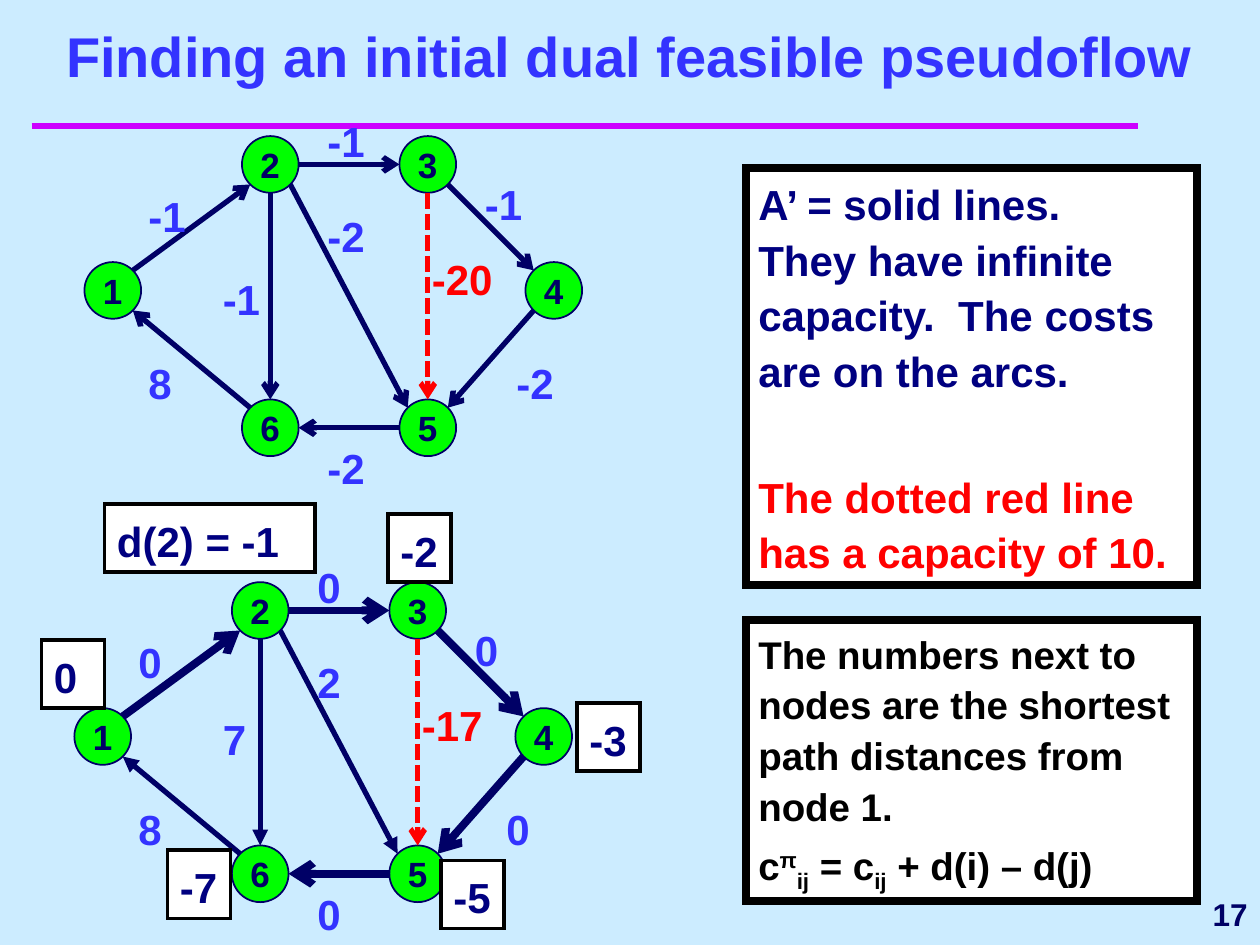
"""Build the slide on finding an initial dual feasible pseudoflow."""
import math
from typing import NamedTuple

import pptx
import pptx.dml.color
import pptx.enum.dml
import pptx.enum.shapes
import pptx.enum.text
import pptx.oxml.ns
import pptx.util
from lxml import etree

Inches = pptx.util.Inches
Pt = pptx.util.Pt
RGBColor = pptx.dml.color.RGBColor
Align = pptx.enum.text.PP_ALIGN
Anchor = pptx.enum.text.MSO_ANCHOR
Preset = pptx.enum.shapes.MSO_SHAPE

SKY = RGBColor(0xCC, 0xEC, 0xFF)
BLUE = RGBColor(0x33, 0x33, 0xFF)
INK = RGBColor(0x00, 0x00, 0x66)
NAVY = RGBColor(0x00, 0x00, 0x80)
RED = RGBColor(0xFF, 0x00, 0x00)
GREEN = RGBColor(0x00, 0xFF, 0x00)
MAGENTA = RGBColor(0xCC, 0x00, 0xFF)
BLACK = RGBColor(0x00, 0x00, 0x00)
WHITE = RGBColor(0xFF, 0xFF, 0xFF)

FONT = "Arial"
NODE_SIZE = 0.45
BOX_HEIGHT = 0.54
BODY_SPACING = 1.1


class Box(NamedTuple):
    left: float
    top: float
    width: float
    height: float = BOX_HEIGHT


class Run(NamedTuple):
    text: str
    size: float
    color: RGBColor
    baseline: int = 0
    break_before: bool = False


class Paragraph(NamedTuple):
    runs: list[Run]
    space_before: float = 0


class Arc(NamedTuple):
    tail: str
    head: str
    cost: str
    reduced_cost: str
    label: Box
    in_tree: bool = False
    capacitated: bool = False
    reduced_nudge: tuple[float, float] = (0, 0)


class Distance(NamedTuple):
    text: str
    box: Box


NODES = {
    "1": (0.67, 2.08), "2": (1.92, 1.08), "3": (3.17, 1.08),
    "4": (4.17, 2.08), "5": (3.17, 3.17), "6": (1.92, 3.17),
}
ARCS = [
    Arc("2", "3", "-1", "0", Box(2.5, 0.83, 0.5), in_tree=True),
    Arc("1", "2", "-1", "0", Box(1.08, 1.42, 0.5), in_tree=True),
    Arc("2", "6", "-1", "7", Box(1.67, 2.08, 0.67), reduced_nudge=(0.08, -0.05)),
    Arc("2", "5", "-2", "2", Box(2.5, 1.58, 0.5)),
    Arc("4", "5", "-2", "0", Box(4, 2.75, 0.5), in_tree=True),
    Arc("3", "4", "-1", "0", Box(3.75, 1.33, 0.5), in_tree=True),
    Arc("5", "6", "-2", "0", Box(2.5, 3.42, 0.5), in_tree=True),
    Arc("6", "1", "8", "8", Box(1.08, 2.75, 0.5)),
    Arc("3", "5", "-20", "-17", Box(3.33, 1.92, 0.83), capacitated=True),
]
REDUCED_SHIFT = (-0.08, 3.54)
DISTANCES = [
    Distance("d(2) = -1", Box(0.83, 4, 1.67)),
    Distance("-2", Box(3.08, 4.08, 0.5)),
    Distance("-3", Box(4.58, 5.58, 0.5)),
    Distance("-5", Box(3.5, 6.83, 0.5)),
    Distance("-7", Box(1.33, 6.75, 0.5)),
    Distance("0", Box(0.33, 5.08, 0.5)),
]
CAPACITY_NOTE = [
    Paragraph([
        Run("A’ = solid lines.", 24, NAVY),
        Run("They have infinite capacity.  The costs are on the arcs.", 24, NAVY, break_before=True),
    ]),
    Paragraph([Run("The dotted red line has a capacity of 10.", 24, RED)], space_before=40.5),
]
DISTANCE_NOTE = [
    Paragraph([Run("The numbers next to nodes are the shortest path distances from node 1.", 22, BLACK)]),
    Paragraph([
        Run(text, 22, BLACK, baseline)
        for text, baseline in [("c", 0), ("π", 30), ("ij", -25), (" = c", 0),
                               ("ij", -25), (" + d(i) – d(j)", 0)]
    ], space_before=4.1),
]


def write(shape, paragraphs: list[Paragraph], align=Align.LEFT, anchor=Anchor.TOP,
          spacing: float = 1, wrap: bool = True) -> None:
    """Fill a shape with formatted runs."""
    frame = shape.text_frame
    frame.word_wrap = wrap
    frame.vertical_anchor = anchor
    for index, content in enumerate(paragraphs):
        paragraph = frame.add_paragraph() if index else frame.paragraphs[0]
        paragraph.alignment = align
        paragraph.line_spacing = spacing
        paragraph.space_before = Pt(content.space_before)
        for item in content.runs:
            if item.break_before:
                paragraph.add_line_break()
            run = paragraph.add_run()
            run.text = item.text
            run.font.name = FONT
            run.font.size = Pt(item.size)
            run.font.bold = True
            run.font.color.rgb = item.color
            if item.baseline:
                run._r.get_or_add_rPr().set("baseline", str(item.baseline * 1000))


def add_text(slide, box: Box, run: Run, **layout) -> None:
    """Place one run in a text box."""
    write(slide.shapes.add_textbox(*map(Inches, box)), [Paragraph([run])], **layout)


def add_filled(slide, preset, box: Box, fill: RGBColor, outline: RGBColor, weight: float):
    """Place a flat filled shape with a sharp-cornered outline."""
    shape = slide.shapes.add_shape(preset, *map(Inches, box))
    shape.shadow.inherit = False
    shape.fill.solid()
    shape.fill.fore_color.rgb = fill
    shape.line.color.rgb = outline
    shape.line.width = Pt(weight)
    etree.SubElement(shape.line._get_or_add_ln(), pptx.oxml.ns.qn("a:miter"), lim="800000")
    return shape


def add_panel(slide, box: Box, paragraphs: list[Paragraph], weight: float) -> None:
    """Place a white bordered panel of body text."""
    panel = add_filled(slide, Preset.RECTANGLE, box, WHITE, BLACK, weight)
    write(panel, paragraphs, spacing=BODY_SPACING)


def add_line(slide, start, end, color: RGBColor, weight: float, head: str = "", dashed: bool = False) -> None:
    """Draw a straight line with an optional arrowhead."""
    line = slide.shapes.add_connector(pptx.enum.shapes.MSO_CONNECTOR.STRAIGHT, *map(Inches, (*start, *end)))
    line.line.color.rgb = color
    line.line.width = Pt(weight)
    if dashed:
        line.line.dash_style = pptx.enum.dml.MSO_LINE.SQUARE_DOT
    if head:
        etree.SubElement(line.line._get_or_add_ln(), pptx.oxml.ns.qn("a:tailEnd"), type=head)
    etree.SubElement(line._element.spPr, pptx.oxml.ns.qn("a:effectLst"))


def rim_offset(dx: float, dy: float) -> tuple[float, float]:
    """Return the nearest of a node's eight rim points in a direction."""
    reach = NODE_SIZE / 2 * (math.sqrt(0.5) if dx and dy else 1)
    return tuple(math.copysign(reach, delta) if delta else 0 for delta in (dx, dy))


def add_graph(slide, shift: tuple[float, float], reduced: bool) -> None:
    """Draw the network with its original or reduced costs."""
    corners = {name: (x + shift[0], y + shift[1]) for name, (x, y) in NODES.items()}
    for name, corner in corners.items():
        node = add_filled(slide, Preset.OVAL, Box(*corner, NODE_SIZE, NODE_SIZE), GREEN, INK, 1)
        write(node, [Paragraph([Run(name, 20, INK)])], Align.CENTER, Anchor.MIDDLE, wrap=False)
    for arc in ARCS:
        tail, head = ([value + NODE_SIZE / 2 for value in corners[name]] for name in (arc.tail, arc.head))
        rim = rim_offset(head[0] - tail[0], head[1] - tail[1])
        start = [value + offset for value, offset in zip(tail, rim)]
        end = [value - offset for value, offset in zip(head, rim)]
        weight = 4.5 if reduced and arc.in_tree else 3
        arrow = "triangle" if reduced and not (arc.in_tree or arc.capacitated) else "arrow"
        add_line(slide, start, end, RED if arc.capacitated else INK, weight, arrow, arc.capacitated)
        nudge = arc.reduced_nudge if reduced else (0, 0)
        label = arc.label._replace(left=arc.label.left + shift[0] + nudge[0],
                                   top=arc.label.top + shift[1] + nudge[1])
        cost = Run(arc.reduced_cost if reduced else arc.cost, 24, RED if arc.capacitated else BLUE)
        add_text(slide, label, cost, spacing=BODY_SPACING)


def main() -> None:
    """Assemble and save the slide."""
    deck = pptx.Presentation()
    deck.slide_width, deck.slide_height = Inches(10), Inches(7.5)
    slide = deck.slides.add_slide(deck.slide_layouts[6])
    slide.background.fill.solid()
    slide.background.fill.fore_color.rgb = SKY
    add_line(slide, (0.25, 1), (9.03, 1), MAGENTA, 4)
    add_text(slide, Box(0, 0.17, 10, 0.58), Run("Finding an initial dual feasible pseudoflow", 32, BLUE),
             align=Align.CENTER, anchor=Anchor.BOTTOM)
    add_text(slide, Box(8.08, 7, 1.92, 0.5), Run("17", 18, INK), align=Align.RIGHT, anchor=Anchor.MIDDLE)
    add_panel(slide, Box(5.92, 1.33, 3.58, 3.31), CAPACITY_NOTE, 4.5)
    add_graph(slide, (0, 0), reduced=False)
    add_panel(slide, Box(5.92, 4.92, 3.58, 2.23), DISTANCE_NOTE, 4.5)
    add_graph(slide, REDUCED_SHIFT, reduced=True)
    for distance in DISTANCES:
        add_panel(slide, distance.box, [Paragraph([Run(distance.text, 24, NAVY)])], 2.25)
    deck.save("out.pptx")


if __name__ == "__main__":
    main()
